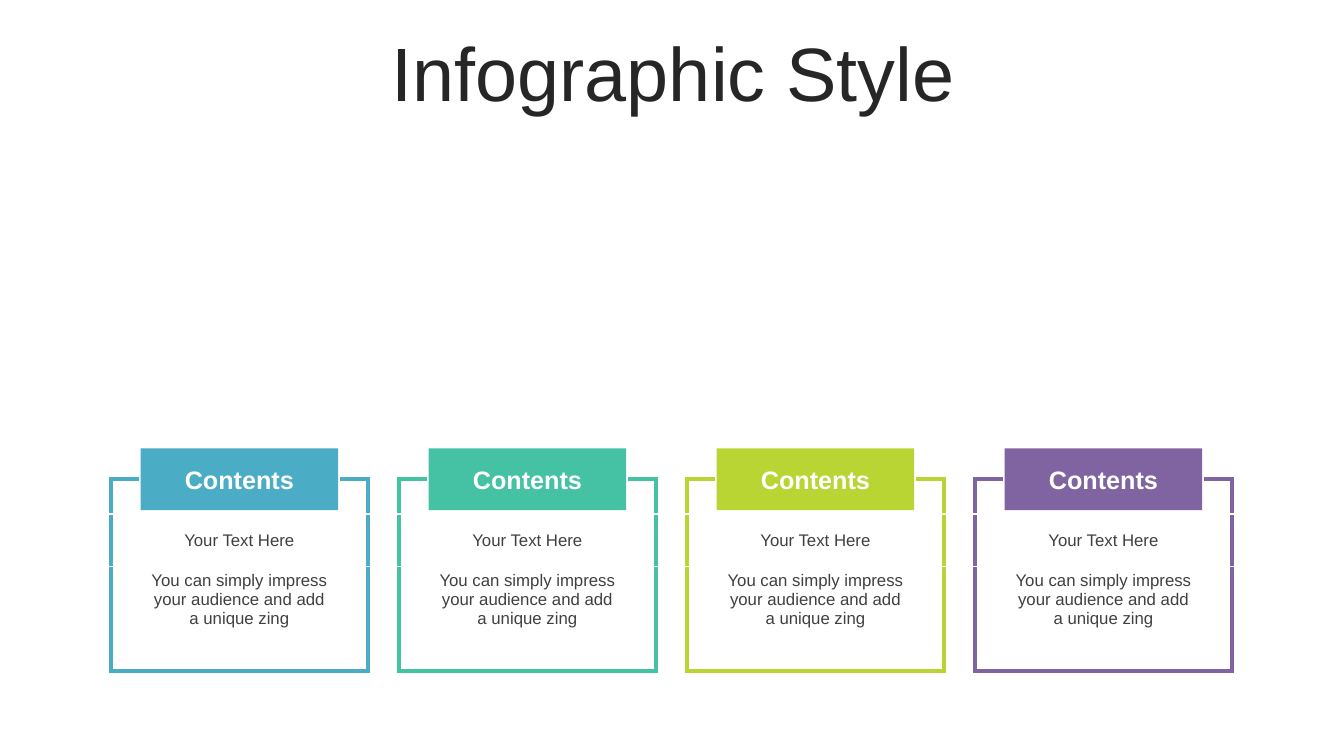
from dataclasses import dataclass

from lxml.etree import SubElement
from pptx import Presentation
from pptx.dml.color import RGBColor
from pptx.enum.shapes import MSO_SHAPE as Shape
from pptx.enum.text import MSO_ANCHOR as Anchor, PP_ALIGN as Align
from pptx.oxml.ns import qn
from pptx.util import Pt

TITLE = "Infographic Style"
BODY = "You can simply impress your audience and add a unique zing"
CARDS = [
    ("Contents", "Your Text Here", BODY, "4BACC6"),
    ("Contents", "Your Text Here", BODY, "45C1A4"),
    ("Contents", "Your Text Here", BODY, "B9D533"),
    ("Contents", "Your Text Here", BODY, "8064A2"),
]


@dataclass(frozen=True)
class Theme:
    font: str = "Arial"
    white: str = "FFFFFF"
    title: str = "262626"
    body: str = "404040"
    title_size: float = 54
    tab_size: float = 18
    body_size: float = 12
    frame_line: float = 3
    inner_line: float = 2.25


THEME = Theme()
SLIDE_SIZE = (960, 540)
TITLE_BOX = (25.2, 26.6, 911.5, 56.9)
CARD_LEFT, CARD_TOP, CARD_PITCH = 79.2, 342, 205.75
COLUMNS = (20.9, 141.8, 20.9)
ROWS = (25.2, 37.4, 74.9)
TAB_WIDTH, TAB_HEIGHT, TAB_TOP = 141.1, 44.1, 320.3


def points(*values):
    return [Pt(value) for value in values]


def write_text(frame, text, size, color, bold=False, spacing=None):
    para = frame.paragraphs[0]
    para.alignment = Align.CENTER
    para.space_before = Pt(0)
    if spacing:
        para.line_spacing = spacing
    span = para.add_run()
    span.text = text
    font = span.font
    font.name, font.size, font.bold = THEME.font, Pt(size), bold
    font.color.rgb = RGBColor.from_string(color)


def add_border(cell, side, color, width):
    """Draw one cell edge; side is L, R, T or B, added in that order."""
    line = SubElement(cell._tc.get_or_add_tcPr(), qn(f"a:ln{side}"), w=str(Pt(width)))
    fill = SubElement(line, qn("a:solidFill"))
    SubElement(fill, qn("a:srgbClr"), val=color)


def style_cell(cell, row, column, color):
    """Colour the outer edges, and keep the inner upright edges white."""
    outer = (color, THEME.frame_line)
    inner = (THEME.white, THEME.inner_line)
    add_border(cell, "L", *(outer if column == 0 else inner))
    add_border(cell, "R", *(outer if column == len(COLUMNS) - 1 else inner))
    if row == 0:
        add_border(cell, "T", *outer)
    if row == len(ROWS) - 1:
        add_border(cell, "B", *outer)
    cell.fill.solid()
    cell.fill.fore_color.rgb = RGBColor.from_string(THEME.white)


def add_frame(page, left, heading, body, color):
    box = page.shapes.add_table(
        len(ROWS), len(COLUMNS), *points(left, CARD_TOP, sum(COLUMNS), sum(ROWS)))
    table = box.table
    table.first_row = table.horz_banding = False
    for column, width in zip(table.columns, COLUMNS):
        column.width = Pt(width)
    for row, height in zip(table.rows, ROWS):
        row.height = Pt(height)

    texts = {(1, 1): (heading, Anchor.MIDDLE), (2, 1): (body, Anchor.TOP)}
    for row in range(len(ROWS)):
        for column in range(len(COLUMNS)):
            cell = table.cell(row, column)
            style_cell(cell, row, column, color)
            if (row, column) in texts:
                text, cell.vertical_anchor = texts[row, column]
                write_text(cell.text_frame, text, THEME.body_size, THEME.body)
            else:
                cell.margin_top = cell.margin_bottom = 0


def add_tab(page, left, label, color):
    tab_left = left + (sum(COLUMNS) - TAB_WIDTH) / 2
    tab = page.shapes.add_shape(
        Shape.RECTANGLE, *points(tab_left, TAB_TOP, TAB_WIDTH, TAB_HEIGHT))
    tab.shadow.inherit = False
    tab.fill.solid()
    tab.fill.fore_color.rgb = RGBColor.from_string(color)
    tab.line.fill.background()
    tab.text_frame.vertical_anchor = Anchor.MIDDLE
    write_text(tab.text_frame, label, THEME.tab_size, THEME.white, bold=True)


def add_title(page):
    title = page.shapes.title
    title.left, title.top, title.width, title.height = points(*TITLE_BOX)
    title.text_frame.vertical_anchor = Anchor.MIDDLE
    write_text(title.text_frame, TITLE, THEME.title_size, THEME.title, spacing=0.9)


def main():
    deck = Presentation()
    deck.slide_width, deck.slide_height = points(*SLIDE_SIZE)
    page = deck.slides.add_slide(deck.slide_layouts.get_by_name("Title Only"))
    add_title(page)
    for index, (label, heading, body, color) in enumerate(CARDS):
        left = CARD_LEFT + index * CARD_PITCH
        add_frame(page, left, heading, body, color)
        add_tab(page, left, label, color)
    deck.save("out.pptx")


if __name__ == "__main__":
    main()
